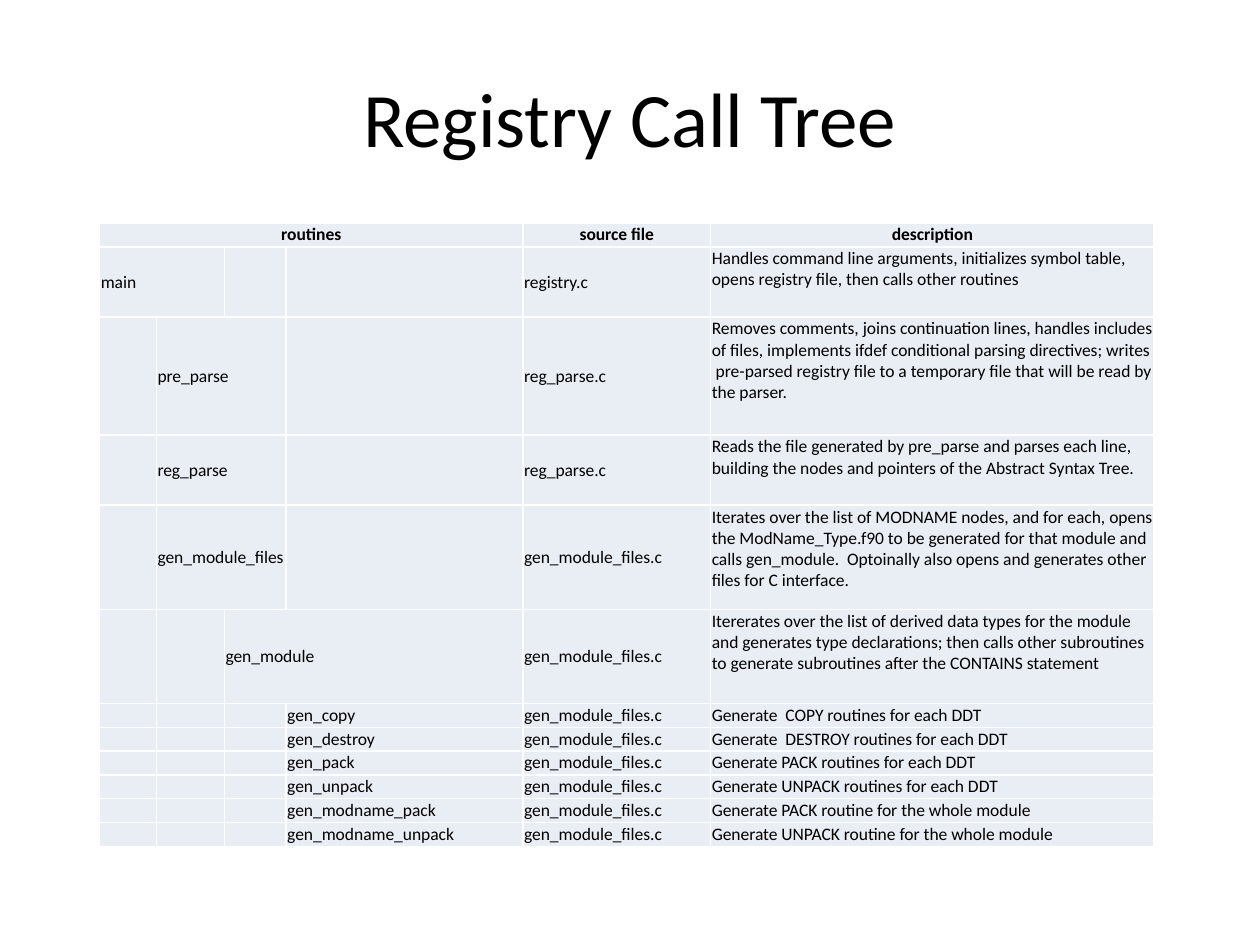
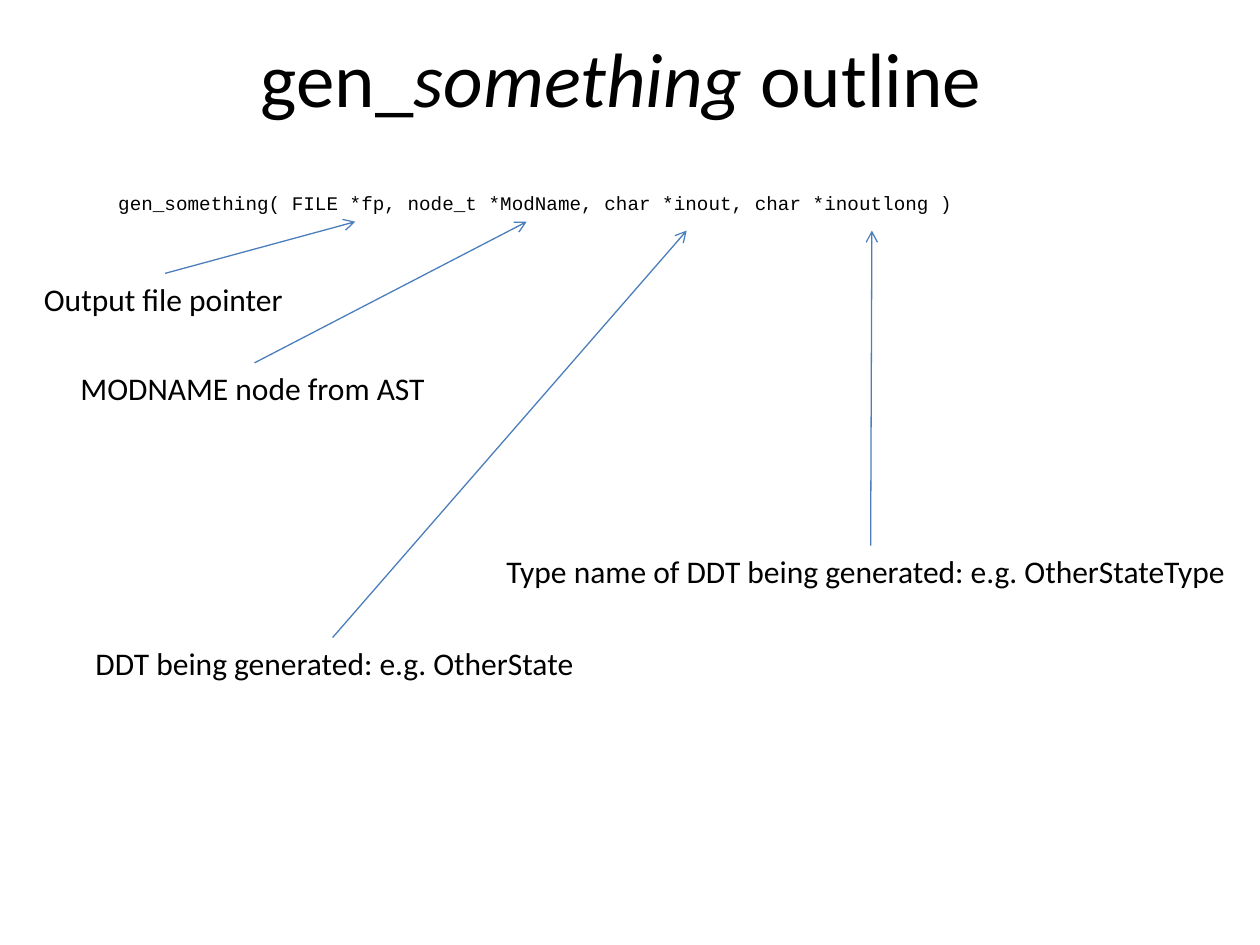
"""Builds two slides on the registry generator: its call tree and a routine outline."""
from collections import namedtuple

from lxml import etree
from pptx import Presentation
from pptx.dml.color import RGBColor
from pptx.enum.shapes import MSO_CONNECTOR
from pptx.enum.text import MSO_ANCHOR, MSO_AUTO_SIZE, PP_ALIGN
from pptx.oxml.ns import qn
from pptx.util import Inches, Pt

LEFT, CENTER = PP_ALIGN.LEFT, PP_ALIGN.CENTER
TOP, MIDDLE = MSO_ANCHOR.TOP, MSO_ANCHOR.MIDDLE
GROW, FIXED = MSO_AUTO_SIZE.SHAPE_TO_FIT_TEXT, MSO_AUTO_SIZE.NONE
STRAIGHT = MSO_CONNECTOR.STRAIGHT

COLOURS = {"text": "000000", "cell": "E9EDF4", "border": "FFFFFF", "arrow": "4B7EBC"}
BODY_FONT, CODE_FONT = "Calibri", "Courier New"
GRID_COLUMNS, GRID_ROWS = 100, 75
SLIDE_WIDTH, SLIDE_HEIGHT = Inches(10), Inches(7.5)

TITLE_STYLE = {"name": BODY_FONT, "size": Pt(44)}
LABEL_STYLE = {"name": BODY_FONT, "size": Pt(18)}
CODE_STYLE = {"name": CODE_FONT, "size": Pt(11)}
CELL_STYLE = {"name": BODY_FONT, "size": Pt(10), "bold": False}
HEADER_STYLE = {**CELL_STYLE, "bold": True}
CELL_MARGINS = {"margin_left": Inches(0.01), "margin_right": Inches(0.01),
                "margin_top": Inches(0.01), "margin_bottom": 0}

Box = namedtuple("Box", "left top width height")

TREE_DEPTH = 4
COLUMN_SHARES = [0.45, 0.54, 0.49, 1.88, 1.49, 3.52]
HEADINGS = {0: "routines", 4: "source file", 5: "description"}
LINE_SHARE = 0.19
CALLS = [
    (0, 0.56, "main", "registry.c",
     "Handles command line arguments, initializes symbol table, opens registry file, "
     "then calls other routines"),
    (1, 0.94, "pre_parse", "reg_parse.c",
     "Removes comments, joins continuation lines, handles includes of files, implements "
     "ifdef conditional parsing directives; writes  pre-parsed registry file to a "
     "temporary file that will be read by the parser."),
    (1, 0.56, "reg_parse", "reg_parse.c",
     "Reads the file generated by pre_parse and parses each line, building the nodes and "
     "pointers of the Abstract Syntax Tree."),
    (1, 0.83, "gen_module_files", "gen_module_files.c",
     "Iterates over the list of MODNAME nodes, and for each, opens the ModName_Type.f90 "
     "to be generated for that module and calls gen_module.  Optoinally also opens and "
     "generates other files for C interface."),
    (2, 0.75, "gen_module", "gen_module_files.c",
     "Itererates over the list of derived data types for the module and generates type "
     "declarations; then calls other subroutines to generate subroutines after the "
     "CONTAINS statement"),
] + [
    (3, LINE_SHARE, routine, "gen_module_files.c", f"Generate {purpose}")
    for routine, purpose in [
        ("gen_copy", " COPY routines for each DDT"),
        ("gen_destroy", " DESTROY routines for each DDT"),
        ("gen_pack", "PACK routines for each DDT"),
        ("gen_unpack", "UNPACK routines for each DDT"),
        ("gen_modname_pack", "PACK routine for the whole module"),
        ("gen_modname_unpack", "UNPACK routine for the whole module"),
    ]
]

SIGNATURE = "gen_something( FILE *fp, node_t *ModName, char *inout, char *inoutlong )"
Callout = namedtuple("Callout", "text left top width start tip_column tip_row")
CALLOUTS = [
    Callout("Output file pointer", 0, 7, 21.2, 10.6, 25.7, 2.9),
    Callout("MODNAME node from AST", 2.9, 14.1, 29.6, 17.7, 39.3, 2.9),
    Callout("Type name of DDT being generated: e.g. OtherStateType",
            36.7, 28.6, 59.9, 66.6, 66.7, 3.6),
    Callout("DDT being generated: e.g. OtherState", 4.1, 35.9, 40.4, 23.9, 52, 3.6),
]


def across(columns):
    """Turn grid columns into a length."""
    return round(SLIDE_WIDTH * columns / GRID_COLUMNS)


def down(rows):
    """Turn grid rows into a length."""
    return round(SLIDE_HEIGHT * rows / GRID_ROWS)


def apply(target, values):
    """Set every attribute named in a dict of format values."""
    for attribute, value in values.items():
        setattr(target, attribute, value)


def write(paragraph, text, style, align=LEFT):
    """Add one formatted run to a paragraph."""
    paragraph.alignment = align
    run = paragraph.add_run()
    run.text = text
    apply(run.font, style)
    run.font.color.rgb = RGBColor.from_string(COLOURS["text"])


def add_text(slide, box, runs, align=LEFT, **frame_format):
    """Place one paragraph of (text, style) runs in a grid box."""
    frame = slide.shapes.add_textbox(across(box.left), down(box.top),
                                     across(box.width), down(box.height)).text_frame
    apply(frame, {"word_wrap": True, "auto_size": GROW, **frame_format})
    for text, style in runs:
        write(frame.paragraphs[0], text, style, align)


def add_title(slide, box, runs):
    """Place a centred slide title of (text, italic) runs."""
    styled = [(text, {**TITLE_STYLE, "italic": italic}) for text, italic in runs]
    add_text(slide, box, styled, CENTER, auto_size=FIXED, vertical_anchor=MIDDLE)


def format_cell(cell):
    """Give a cell its margins, borders, fill and the height of an empty line."""
    apply(cell, CELL_MARGINS)
    properties = cell._tc.get_or_add_tcPr()
    for side in "LRTB":
        border = etree.SubElement(properties, qn(f"a:ln{side}"), w=str(Pt(1)))
        fill = etree.SubElement(border, qn("a:solidFill"))
        etree.SubElement(fill, qn("a:srgbClr"), val=COLOURS["border"])
    cell.fill.solid()
    cell.fill.fore_color.rgb = RGBColor.from_string(COLOURS["cell"])
    etree.SubElement(cell.text_frame.paragraphs[0]._p, qn("a:endParaRPr"), sz="1000")


def fill_cell(cell, text, style, align=LEFT, anchor=TOP):
    """Write text into a cell."""
    write(cell.text_frame.paragraphs[0], text, style, align)
    cell.vertical_anchor = anchor


def add_call_tree(slide, box):
    """Place the table whose routine columns indent with call depth."""
    row_shares = [LINE_SHARE] + [call[1] for call in CALLS]
    table = slide.shapes.add_table(len(row_shares), len(COLUMN_SHARES),
                                   across(box.left), down(box.top),
                                   across(box.width), down(box.height)).table
    apply(table, {"first_row": False, "horz_banding": False})
    for column, share in zip(table.columns, COLUMN_SHARES):
        column.width = across(box.width * share / sum(COLUMN_SHARES))
    for row, share in zip(table.rows, row_shares):
        row.height = down(box.height * share / sum(row_shares))
    for cell in table.iter_cells():
        format_cell(cell)

    table.cell(0, 0).merge(table.cell(0, TREE_DEPTH - 1))
    for column, heading in HEADINGS.items():
        fill_cell(table.cell(0, column), heading, HEADER_STYLE, CENTER)
    for row, (depth, _, routine, source, description) in enumerate(CALLS, 1):
        is_leaf = depth == TREE_DEPTH - 1
        if not is_leaf:
            table.cell(row, depth).merge(table.cell(row, depth + 1))
        anchor = TOP if is_leaf else MIDDLE
        fill_cell(table.cell(row, depth), routine, CELL_STYLE, anchor=anchor)
        fill_cell(table.cell(row, TREE_DEPTH), source, CELL_STYLE, anchor=anchor)
        fill_cell(table.cell(row, TREE_DEPTH + 1), description, CELL_STYLE)


def add_arrow(slide, start, tip):
    """Draw an open-headed arrow between two grid points."""
    arrow = slide.shapes.add_connector(STRAIGHT, across(start[0]), down(start[1]),
                                       across(tip[0]), down(tip[1]))
    arrow.line.width = Pt(0.75)
    arrow.line.color.rgb = RGBColor.from_string(COLOURS["arrow"])
    etree.SubElement(arrow.line._get_or_add_ln(), qn("a:tailEnd"), type="arrow")
    etree.SubElement(arrow._element.spPr, qn("a:effectLst"))


def add_signature(slide, box):
    """Place the routine signature and a callout for each argument."""
    add_text(slide, Box(box.left + 5.9, box.top, 72, 2.9), [(SIGNATURE, CODE_STYLE)])
    for callout in CALLOUTS:
        label_top = box.top + callout.top
        add_text(slide, Box(box.left + callout.left, label_top, callout.width, 4),
                 [(callout.text, LABEL_STYLE)], word_wrap=False)
        add_arrow(slide, (box.left + callout.start, label_top),
                  (box.left + callout.tip_column, box.top + callout.tip_row))


def build():
    """Build both slides and save the presentation."""
    deck = Presentation()
    apply(deck, {"slide_width": SLIDE_WIDTH, "slide_height": SLIDE_HEIGHT})
    blank = deck.slide_layouts[6]

    call_tree = deck.slides.add_slide(blank)
    add_call_tree(call_tree, Box(7.9, 17.7, 83.7, 49.5))
    add_title(call_tree, Box(5, 3, 90, 12.5), [("Registry Call Tree", False)])

    outline = deck.slides.add_slide(blank)
    add_title(outline, Box(5, 3, 90, 6.1),
              [("gen_", False), ("something ", True), ("outline ", False)])
    add_signature(outline, Box(2.5, 14.7, 96.6, 39.9))

    deck.save("out.pptx")


build()
